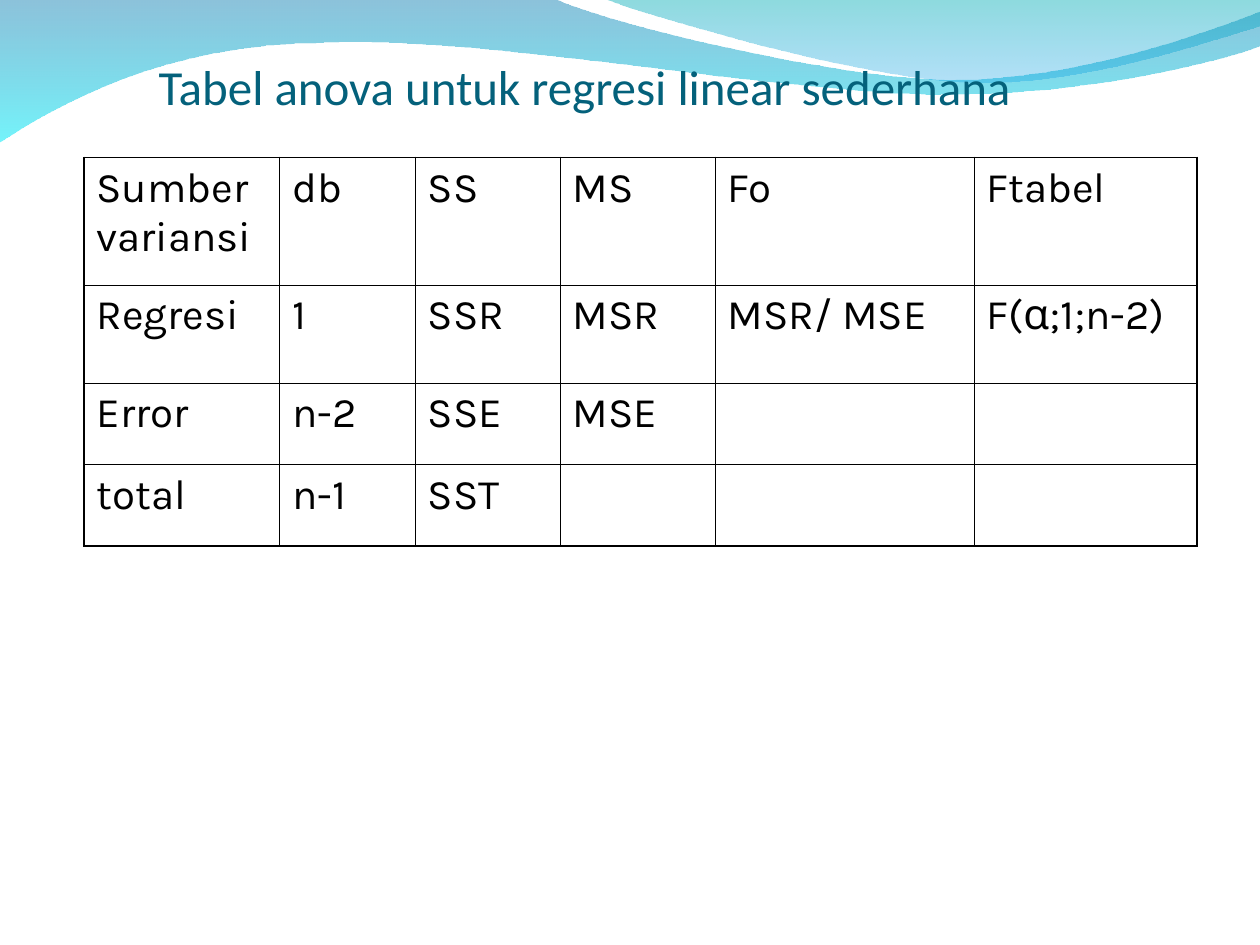
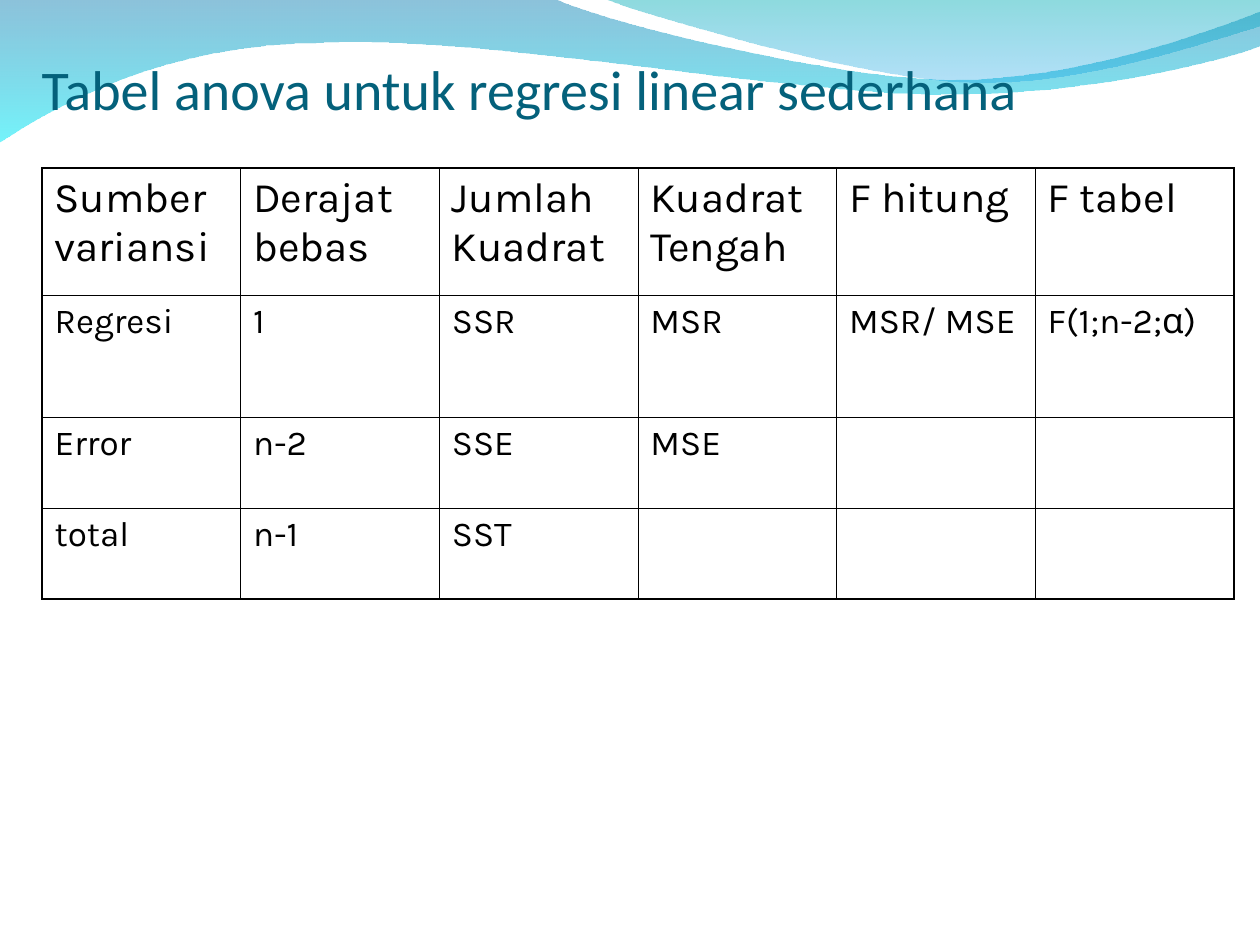
from lxml import etree
from pptx import Presentation
from pptx.dml.color import RGBColor
from pptx.enum import text
from pptx.oxml import ns
from pptx.util import Pt

SLIDE_WIDTH, SLIDE_HEIGHT = 720, 540
TITLE_COLOR = RGBColor(0x04, 0x61, 0x7B)
BLACK = RGBColor(0, 0, 0)
DEEP_BLUE, CYAN = RGBColor(0x00, 0x79, 0xAF), RGBColor(0x00, 0xEB, 0xF8)
TEAL, SKY = RGBColor(0x00, 0xAD, 0xB6), RGBColor(0x00, 0x9B, 0xE5)
TITLE_FONT, TABLE_FONT = "Calibri", "Karla"
THIN, THICK = 0.45, 1.08

# Each segment is one line end, or two control points and a curve end.
LONG_WAVE = [
    [(0, -0.7)],
    [(316.8, -0.7)],
    [(342.7, 12.2), (478.1, 45.4), (545.8, 45.4)],
    [(614.2, 45.4), (689.8, 18.7), (720, 6.5)],
    [(720.7, 25.9)],
    [(707.8, 31.7), (626.4, 54.7), (537.1, 54)],
    [(447.8, 54), (275, 20.2), (185, 24.5)],
    [(92.9, 25.2), (33.1, 59.8), (-0.7, 81.4)],
]
RIGHT_WAVE = [
    [(344.9, -0.7)],
    [(366.5, 7.9), (491, 44.6), (553.7, 46.8)],
    [(616.3, 49.7), (691.9, 23), (720, 15.1)],
    [(720, 0)],
]
WAVES = [
    (LONG_WAVE, [(DEEP_BLUE, 45), (CYAN, 55)]),
    (RIGHT_WAVE, [(TEAL, 45), (SKY, 30)]),
]

TITLE = "Tabel anova untuk regresi linear sederhana"
SHORT_HEADER = ["Sumber variansi", "db", "SS", "MS", "Fo", "Ftabel"]
FULL_HEADER = ["Sumber variansi", "Derajat bebas", "Jumlah Kuadrat",
               "Kuadrat Tengah", "F hitung", "F tabel"]


def anova_rows(header, f_table):
    return [
        header,
        ["Regresi", "1", "SSR", "MSR", "MSR/ MSE", f_table],
        ["Error", "n-2", "SSE", "MSE", "", ""],
        ["total", "n-1", "SST", "", "", ""],
    ]


def set_format(target, values):
    for name, value in values.items():
        setattr(target, name, value)


def add_run(paragraph, words, face, size, color):
    run = paragraph.add_run()
    run.text = words
    set_format(run.font, {"name": face, "size": Pt(size)})
    run.font.color.rgb = color


def bend_segments(wave, segments):
    """Turn the straight segments that have control points into cubic curves."""
    lines = wave.element.xpath(".//a:path/a:lnTo")
    for line, segment in zip(lines, segments[1:]):
        if len(segment) == 1:
            continue
        line.tag = ns.qn("a:cubicBezTo")
        for index, (x, y) in enumerate(segment[:2]):
            control = etree.Element(ns.qn("a:pt"), x=str(Pt(x) - wave.left),
                                    y=str(Pt(y) - wave.top))
            line.insert(index, control)


def draw_wave(slide, segments, stops):
    start, *ends = [tuple(map(Pt, segment[-1])) for segment in segments]
    builder = slide.shapes.build_freeform(*start)
    builder.add_line_segments(ends, close=True)
    wave = builder.convert_to_shape()
    bend_segments(wave, segments)
    wave.shadow.inherit = False
    wave.line.fill.background()
    wave.fill.gradient()
    wave.fill.gradient_angle = 270
    for stop, (color, _) in zip(wave.fill.gradient_stops, stops):
        stop.color.rgb = color
    colors = wave.element.spPr.iter(ns.qn("a:srgbClr"))
    for color, (_, opacity) in zip(colors, stops):
        etree.SubElement(color, ns.qn("a:alpha"), val=str(opacity * 1000))
    return wave


def add_master_waves(prs, slide):
    """Draw the waves on a slide, then move them to the shared master."""
    for number, (segments, stops) in enumerate(WAVES):
        wave = draw_wave(slide, segments, stops)
        wave.element.xpath(".//p:cNvPr")[0].set("id", str(100 + number))
        prs.slide_master.shapes.element.append(wave.element)


def place_title(slide, box, runs):
    title = slide.shapes.title
    left, top, width, height = map(Pt, box)
    set_format(title, {"left": left, "top": top, "width": width, "height": height})
    frame = title.text_frame
    set_format(frame, {
        "margin_left": 0, "margin_top": Pt(3.6), "margin_right": 0, "margin_bottom": 0,
        "vertical_anchor": text.MSO_ANCHOR.BOTTOM, "word_wrap": True,
        "auto_size": text.MSO_AUTO_SIZE.NONE,
    })
    paragraph = frame.paragraphs[0]
    paragraph.alignment = text.PP_ALIGN.LEFT
    for words, size in runs:
        add_run(paragraph, words, TITLE_FONT, size, TITLE_COLOR)


def set_borders(cell, widths):
    properties = cell._tc.get_or_add_tcPr()
    for side, width in widths.items():
        line = etree.SubElement(properties, ns.qn(f"a:ln{side}"), w=str(Pt(width)))
        fill = etree.SubElement(line, ns.qn("a:solidFill"))
        etree.SubElement(fill, ns.qn("a:srgbClr"), val=str(BLACK))


def add_anova_table(slide, origin, columns, heights, rows, body_size):
    left, top = origin
    table = slide.shapes.add_table(len(rows), len(columns), Pt(left), Pt(top),
                                   Pt(sum(columns)), Pt(sum(heights))).table
    set_format(table, {"first_row": False, "horz_banding": False})
    for column, width in zip(table.columns, columns):
        column.width = Pt(width)
    for row, height in zip(table.rows, heights):
        row.height = Pt(height)
    last_row, last_column = len(rows) - 1, len(columns) - 1
    for r, labels in enumerate(rows):
        for c, label in enumerate(labels):
            cell = table.cell(r, c)
            set_borders(cell, {
                "L": THICK if c == 0 else THIN,
                "R": THICK if c == last_column else THIN,
                "T": THICK if r == 0 else THIN,
                "B": THICK if r == last_row else THIN,
            })
            cell.fill.background()
            if label:
                add_run(cell.text_frame.paragraphs[0], label, TABLE_FONT,
                        24 if r == 0 else body_size, BLACK)


def add_anova_slide(prs, title_box, title_runs, **table):
    slide = prs.slides.add_slide(prs.slide_layouts[5])
    place_title(slide, title_box, title_runs)
    add_anova_table(slide, **table)
    return slide


def main():
    prs = Presentation()
    set_format(prs, {"slide_width": Pt(SLIDE_WIDTH), "slide_height": Pt(SLIDE_HEIGHT)})
    first = add_anova_slide(
        prs, (90.72, 16.8, 527, 49.2), [(TITLE, 28)],
        origin=(48, 90), columns=[111.8, 77.4, 82.8, 88.6, 148, 127.4],
        heights=[73, 56, 46.4, 46.6],
        rows=anova_rows(SHORT_HEADER, "F(α;1;n-2)"), body_size=24)
    add_anova_slide(
        prs, (23.76, 16.56, 680.4, 55.4), [(TITLE, 32), (" ", 45)],
        origin=(24, 96), columns=[113.5] * 6, heights=[72.9, 69.5, 52, 51.8],
        rows=anova_rows(FULL_HEADER, "F(1;n-2;α)"), body_size=20)
    add_master_waves(prs, first)
    prs.save("out.pptx")


if __name__ == "__main__":
    main()
